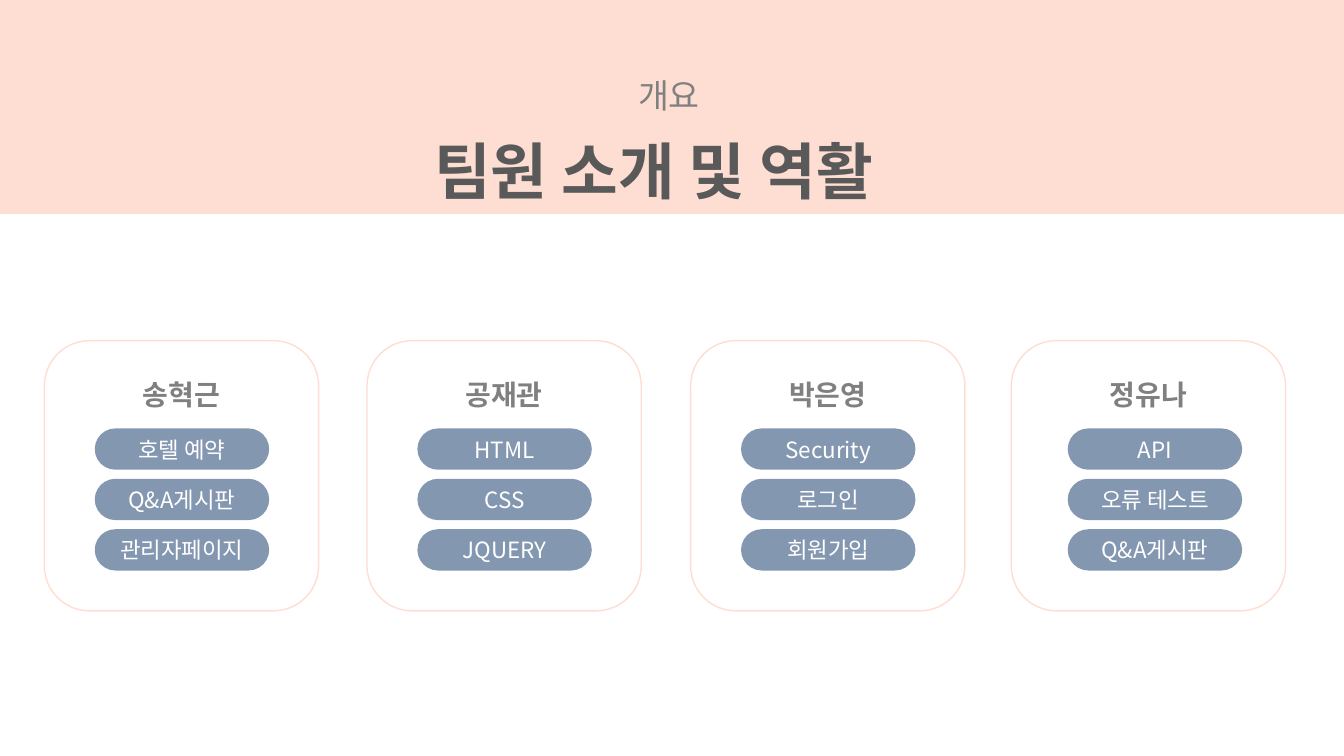
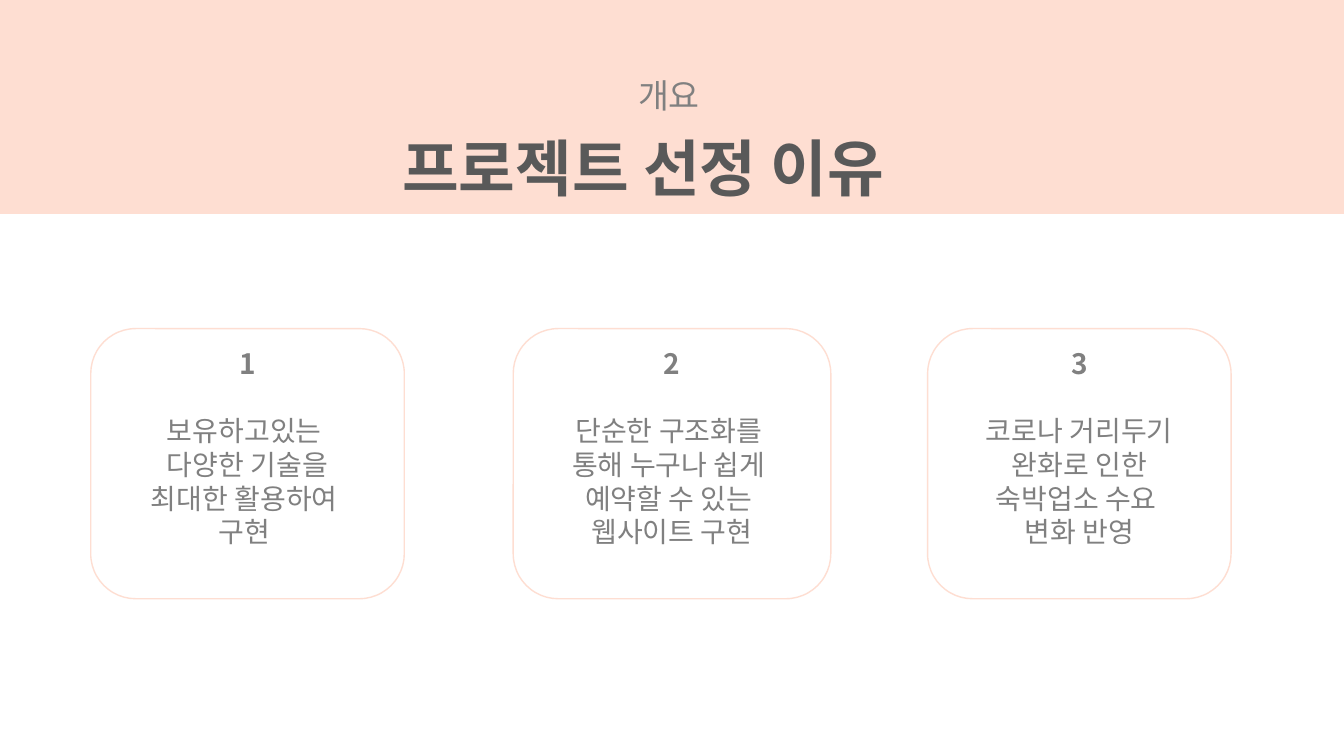
import lxml.etree
import pptx
import pptx.dml.color
import pptx.enum.shapes
import pptx.enum.text
import pptx.oxml.ns
import pptx.util

Inches = pptx.util.Inches
Pt = pptx.util.Pt
RGBColor = pptx.dml.color.RGBColor
Shape = pptx.enum.shapes.MSO_SHAPE
Align = pptx.enum.text.PP_ALIGN
Anchor = pptx.enum.text.MSO_ANCHOR

PEACH = RGBColor(0xFE, 0xDE, 0xD2)
SLATE = RGBColor(0x84, 0x97, 0xB0)
CHARCOAL = RGBColor(0x59, 0x59, 0x59)
GRAY = RGBColor(0x80, 0x80, 0x80)
WHITE = RGBColor(0xFF, 0xFF, 0xFF)

FONT = "Noto Sans CJK KR"
LINE_HEIGHT = 1.2
TITLE_ONLY = 5

MEMBERS = [
    (0.44, 0.5, "송혁근", ["호텔 예약", "Q&A게시판", "관리자페이지"]),
    (3.64, 0.5, "공재관", ["HTML", "CSS", "JQUERY"]),
    (6.85, 0.5, "박은영", ["Security", "로그인", "회원가입"]),
    (10.03, 0.56, "정유나", ["API", "오류 테스트", "Q&A게시판"]),
]

REASONS = [
    (0.9, 3.11, ["보유하고있는 ", "다양한 기술을", "최대한 활용하여 ", "구현 "]),
    (5.09, 3.15, ["단순한 구조화를 ", "통해 누구나 쉽게 ", "예약할 수 있는 ", "웹사이트 구현"]),
    (9.2, 3.01, ["코로나 거리두기", "완화로 인한", "숙박업소 수요 ", "변화 반영"]),
]


class SlideBuilder:
    def __init__(self, deck):
        self.deck = deck
        self.page = None

    def start_page(self, title, left, top, width, align):
        self.page = self.deck.slides.add_slide(self.deck.slide_layouts[TITLE_ONLY])
        heading = self.page.shapes.title
        band = self.shape(Shape.RECTANGLE, 0, -0.03, 13.33, 2.15, PEACH, PEACH)
        heading.element.addprevious(band.element)
        heading.left, heading.top = Inches(left), Inches(top)
        heading.width, heading.height = Inches(width), Inches(0.84)
        self.frame(heading, Anchor.TOP)
        self.line(heading, title, 44, CHARCOAL, True, align)
        section = self.page.shapes.add_textbox(
            Inches(6.23), Inches(0.69), Inches(0.88), Inches(0.5))
        self.frame(section, Anchor.TOP)
        self.line(section, "개요", 24, GRAY, align=Align.LEFT)

    def frame(self, box, anchor, margin_top=0.05):
        frame = box.text_frame
        frame.word_wrap = True
        frame.auto_size = pptx.enum.text.MSO_AUTO_SIZE.NONE
        frame.vertical_anchor = anchor
        frame.margin_top = Inches(margin_top)

    def line(self, box, text, size, color, bold=False, align=Align.CENTER, before=0):
        frame = box.text_frame
        para = frame.add_paragraph() if frame.text else frame.paragraphs[0]
        para.alignment = align
        para.line_spacing = Pt(size * LINE_HEIGHT)
        para.space_before = Pt(before)
        span = para.add_run()
        span.text = text
        span.font.name = FONT
        span.font.size = Pt(size)
        span.font.bold = bold
        span.font.color.rgb = color
        east_asian = lxml.etree.SubElement(
            span.font._element, pptx.oxml.ns.qn("a:ea"))
        east_asian.set("typeface", FONT)

    def shape(self, kind, left, top, width, height, fill, outline=None):
        box = self.page.shapes.add_shape(
            kind, Inches(left), Inches(top), Inches(width), Inches(height))
        box.shadow.inherit = False
        box.fill.solid()
        box.fill.fore_color.rgb = fill
        if outline is None:
            box.line.fill.background()
        else:
            box.line.color.rgb = outline
            box.line.width = Pt(1)
        return box

    def card(self, left, top, width, heading, margin_top, body=()):
        box = self.shape(
            Shape.ROUNDED_RECTANGLE, left, top, width, 2.68, WHITE, PEACH)
        self.frame(box, Anchor.TOP, margin_top)
        self.line(box, heading, 20, GRAY, True)
        for index, text in enumerate(body):
            self.line(box, text, 20, GRAY, before=0 if index else 24)

    def pill(self, left, top, text):
        box = self.shape(Shape.ROUNDED_RECTANGLE, left, top, 1.73, 0.41, SLATE)
        box.adjustments[0] = 0.5
        self.frame(box, Anchor.MIDDLE)
        self.line(box, text, 16, WHITE)


def main():
    deck = pptx.Presentation()
    deck.slide_width, deck.slide_height = Inches(13.33), Inches(7.5)
    builder = SlideBuilder(deck)

    builder.start_page("팀원 소개 및 역활", 3.39, 1.27, 6.19, Align.CENTER)
    for left, indent, name, roles in MEMBERS:
        builder.card(left, 3.38, 2.72, name, 0.23)
        for row, role in enumerate(roles):
            builder.pill(left + indent, 4.25 + 0.5 * row, role)

    builder.start_page("프로젝트 선정 이유", 3.89, 1.24, 5.55, Align.LEFT)
    for number, (left, width, reason) in enumerate(REASONS, 1):
        builder.card(left, 3.26, width, str(number), 0.05, reason)

    deck.save("out.pptx")


if __name__ == "__main__":
    main()
